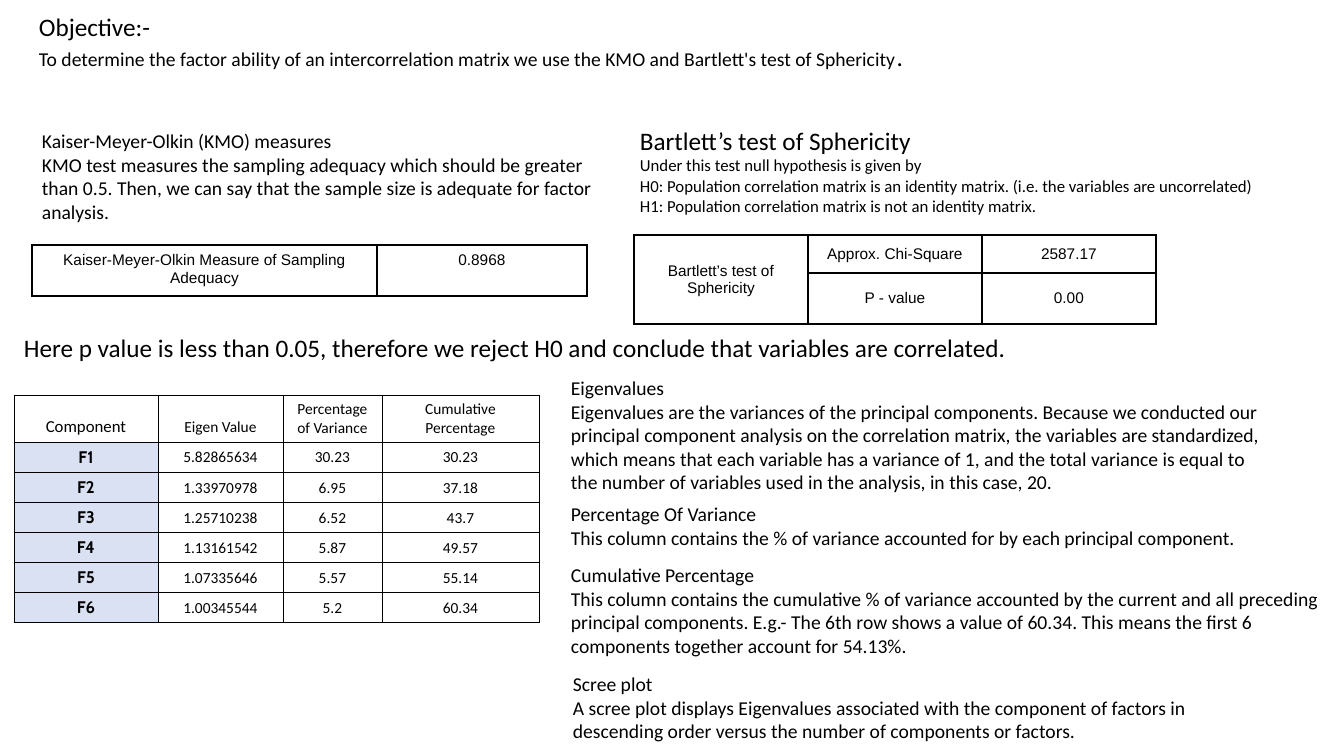
from lxml import etree
from pptx import Presentation
from pptx import util as u
from pptx.dml.color import RGBColor
from pptx.enum import text
from pptx.oxml.ns import qn

SLIDE = (1344, 756)
SCALE = 12192000 / SLIDE[0]
BLACK, PALE_BLUE = "000000", "D9E1F2"
MIDDLE, BOTTOM, TOP = (text.MSO_ANCHOR.MIDDLE, text.MSO_ANCHOR.BOTTOM,
                       text.MSO_ANCHOR.TOP)

# Each text box: (left, top, width, height), then paragraphs of (words, size) spans
TEXTS = [
    ((29, 6, 961, 102), [
        [("Objective:-", 18)],
        [("To determine the factor ability of an intercorrelation matrix we use the KMO "
          "and Bartlett's test of Sphericity", 14), (".", 18)]]),
    ((630, 120, 685, 102), [
        [("Bartlett’s test of Sphericity", 18)],
        [("Under this test null hypothesis is given by", 12)],
        [("H0: Population correlation matrix is an identity matrix. "
          "(i.e. the variables are uncorrelated)", 12)],
        [("H1: Population correlation matrix is not an identity matrix.", 12)]]),
    ((32, 124, 587, 105), [
        [("Kaiser-Meyer-Olkin (KMO) measures", 14)],
        [("KMO test measures the sampling adequacy which should be greater than 0.5. "
          "Then, we can say that the sample size is adequate for factor analysis.", 14)]]),
    ((14, 327, 1268, 40), [
        [("Here p value is less than 0.05, therefore we reject H0 and conclude that "
          "variables are correlated.", 18)]]),
    ((561, 371, 720, 129), [
        [("Eigenvalues", 14)],
        [("Eigenvalues are the variances of the principal components. Because we conducted "
          "our principal component analysis on the correlation matrix, the variables are "
          "standardized, which means that each variable has a variance of 1, and the total "
          "variance is equal to the number of variables used in the analysis, in this case, "
          "20.", 14)]]),
    ((561, 497, 769, 57), [
        [("Percentage Of Variance", 14)],
        [("This column contains the % of variance accounted for by each principal "
          "component.", 14)]]),
    ((561, 558, 775, 105), [
        [("Cumulative Percentage", 14)],
        [("This column contains the cumulative % of variance accounted by the current and "
          "all preceding principal components. E.g.- The 6th row shows a value of 60.34. "
          "This means the first 6 components together account for 54.13%.", 14)]]),
    ((563, 667, 718, 82), [
        [("Scree plot", 14)],
        [("A scree plot displays Eigenvalues associated with the component of factors in "
          "descending order versus the number of components or factors.", 14)]]),
]
KMO = [["Kaiser-Meyer-Olkin Measure of Sampling Adequacy", "0.8968"]]
BARTLETT = [["Bartlett’s test of Sphericity", "Approx. Chi-Square", "2587.17"],
            ["", "P - value", "0.00"]]
COMPONENTS = [
    ["Component", "Eigen Value", "Percentage of Variance", "Cumulative Percentage"],
    ["F1", "5.82865634", "30.23", "30.23"],
    ["F2", "1.33970978", "6.95", "37.18"],
    ["F3", "1.25710238", "6.52", "43.7"],
    ["F4", "1.13161542", "5.87", "49.57"],
    ["F5", "1.07335646", "5.57", "55.14"],
    ["F6", "1.00345544", "5.2", "60.34"],
]


def px(length):
    return u.Emu(round(length * SCALE))


def color(value):
    return RGBColor.from_string(value)


def write(frame, paragraphs, font="Calibri", bold=False, align=None):
    frame.word_wrap = True
    for index, spans in enumerate(paragraphs):
        para = frame.add_paragraph() if index else frame.paragraphs[0]
        para.alignment = align
        for words, size in spans:
            span = para.add_run()
            span.text = words
            span.font.name, span.font.size, span.font.bold = font, u.Pt(size), bold
            span.font.color.rgb = color(BLACK)


def border(cell, width):
    """Draw all four sides; the schema wants them ahead of the fill."""
    properties = cell._tc.get_or_add_tcPr()
    for index, side in enumerate(("a:lnL", "a:lnR", "a:lnT", "a:lnB")):
        line = etree.Element(qn(side), w=str(u.Pt(width)))
        fill = etree.SubElement(line, qn("a:solidFill"))
        etree.SubElement(fill, qn("a:srgbClr"), val=BLACK)
        properties.insert(index, line)


def add_grid(page, left, top, columns, heights, rows, line, margins, anchor):
    """Add a plain bordered table and return it, ready for its text."""
    frame = page.shapes.add_table(len(rows), len(columns), px(left), px(top),
                                  px(sum(columns)), px(sum(heights)))
    table = frame.table
    table.first_row = table.horz_banding = False
    for column, width in zip(table.columns, columns):
        column.width = px(width)
    for row, height in zip(table.rows, heights):
        row.height = px(height)
    for cell in table.iter_cells():
        cell.margin_left = cell.margin_right = px(margins[0])
        cell.margin_top = cell.margin_bottom = px(margins[1])
        cell.vertical_anchor = anchor
        cell.fill.background()
        border(cell, line)
    return table


def fill_grid(table, rows, font):
    for r, row in enumerate(rows):
        for c, words in enumerate(row):
            if not words:
                continue
            cell = table.cell(r, c)
            is_label = font == "Calibri" and c == 0
            is_factor = is_label and r > 0
            if is_factor:
                cell.vertical_anchor = MIDDLE
                cell.fill.solid()
                cell.fill.fore_color.rgb = color(PALE_BLUE)
            size = 12 if is_label else 11
            write(cell.text_frame, [[(words, size)]], font="Cabin" if is_factor else font,
                  bold=is_factor, align=text.PP_ALIGN.CENTER)


def main():
    deck = Presentation()
    deck.slide_width, deck.slide_height = map(px, SLIDE)
    page = deck.slides.add_slide(deck.slide_layouts[6])

    for place, paragraphs in TEXTS:
        box = page.shapes.add_textbox(*map(px, place))
        write(box.text_frame, paragraphs)
        box.text_frame.auto_size = text.MSO_AUTO_SIZE.SHAPE_TO_FIT_TEXT

    kmo = add_grid(page, 32, 245, [345, 210], [51], KMO, 1.5, (7, 7), TOP)
    fill_grid(kmo, KMO, "Arial")

    bartlett = add_grid(page, 634, 235, [174] * 3, [38, 51], BARTLETT, 1.5, (7, 7), MIDDLE)
    bartlett.cell(0, 0).merge(bartlett.cell(1, 0))
    fill_grid(bartlett, BARTLETT, "Arial")

    components = add_grid(page, 14, 395, [144, 125, 99, 157], [23] * len(COMPONENTS),
                          COMPONENTS, 0.5, (8, 5), BOTTOM)
    fill_grid(components, COMPONENTS, "Calibri")

    deck.save("out.pptx")


if __name__ == "__main__":
    main()
